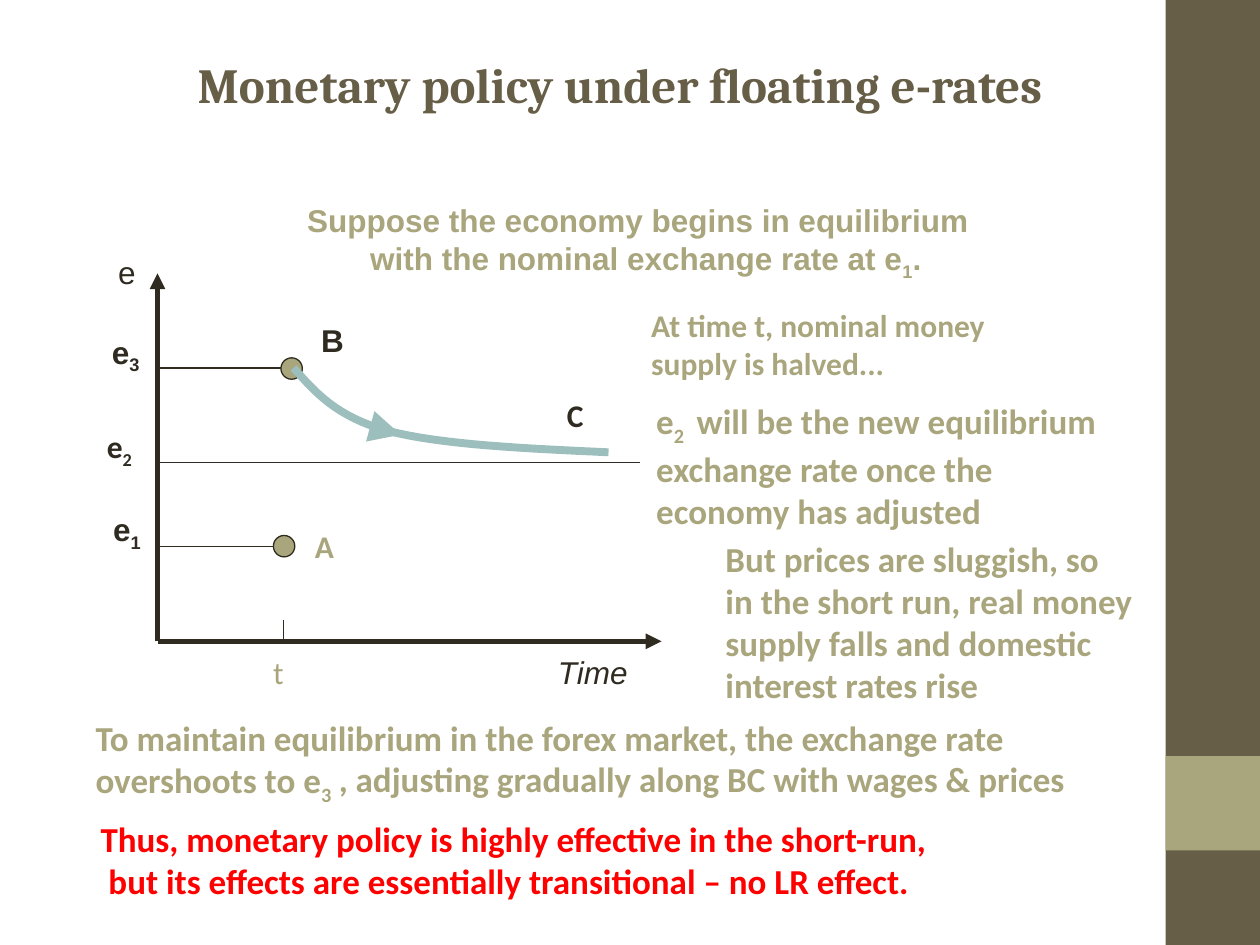
from dataclasses import dataclass

from lxml.etree import SubElement
from pptx import Presentation
from pptx.dml.color import RGBColor
from pptx.enum.shapes import MSO_CONNECTOR, MSO_SHAPE
from pptx.enum.text import MSO_AUTO_SIZE, PP_ALIGN
from pptx.oxml.ns import qn
from pptx.util import Emu, Pt

SCALE = 9144  # EMU per px, 100 px to the inch
COLORS = {
    "brown": "675E47",
    "olive": "A9A57C",
    "ink": "2F2B20",
    "teal": "9CBEBD",
    "red": "FF0000",
}
AXIS_X, AXIS_Y = 125, 509
TIME_T = 225
DOT_SIZE = 17


@dataclass(frozen=True)
class Run:
    text: str
    sub: bool = False


@dataclass(frozen=True)
class Caption:
    box: tuple[int, int, int, int]
    lines: tuple[tuple[Run, ...], ...]
    color: str = "olive"
    size: int = 20
    font: str = "Calibri"
    bold: bool = True
    italic: bool = False
    centered: bool = False


@dataclass(frozen=True)
class Stroke:
    start: tuple[int, int]
    end: tuple[int, int]
    color: str = "ink"
    width: float = 0.75
    arrow: bool = False


def px(value: float) -> Emu:
    return Emu(round(value * SCALE))


def rgb(name: str) -> RGBColor:
    return RGBColor.from_string(COLORS[name])


def plain(*texts: str) -> tuple[tuple[Run, ...], ...]:
    return tuple((Run(text),) for text in texts)


def rate(index: str) -> tuple[tuple[Run, ...], ...]:
    return ((Run("e"), Run(index, sub=True)),)


def add_block(shapes, kind: MSO_SHAPE, box: tuple, color: str, outlined: bool = False) -> None:
    block = shapes.add_shape(kind, *map(px, box))
    block.shadow.inherit = False
    block.fill.solid()
    block.fill.fore_color.rgb = rgb(color)
    if outlined:
        block.line.color.rgb = rgb("ink")
        block.line.width = Pt(0.75)
    else:
        block.line.fill.background()


def add_stroke(shapes, stroke: Stroke) -> None:
    connector = shapes.add_connector(
        MSO_CONNECTOR.STRAIGHT, *map(px, stroke.start + stroke.end))
    connector.line.color.rgb = rgb(stroke.color)
    connector.line.width = Pt(stroke.width)
    if stroke.arrow:
        SubElement(connector.line._get_or_add_ln(), qn("a:tailEnd"), type="triangle")
    SubElement(connector._element.spPr, qn("a:effectLst"))


def add_caption(shapes, caption: Caption) -> None:
    frame = shapes.add_textbox(*map(px, caption.box)).text_frame
    frame.word_wrap = caption.centered
    if not caption.centered:
        frame.auto_size = MSO_AUTO_SIZE.SHAPE_TO_FIT_TEXT
    for number, line in enumerate(caption.lines):
        paragraph = frame.add_paragraph() if number else frame.paragraphs[0]
        paragraph.alignment = PP_ALIGN.CENTER if caption.centered else PP_ALIGN.LEFT
        for part in line:
            run = paragraph.add_run()
            run.text = part.text
            run.font.name = caption.font
            run.font.size = Pt(caption.size)
            run.font.bold = caption.bold
            run.font.italic = caption.italic
            run.font.color.rgb = rgb(caption.color)
            if part.sub:
                run._r.get_or_add_rPr().set("baseline", "-25000")


def bezier(points: tuple, steps: int = 16) -> list[tuple[Emu, Emu]]:
    """Points along a cubic curve, without its start."""
    curve = []
    for step in range(1, steps + 1):
        t = step / steps
        weights = ((1 - t) ** 3, 3 * t * (1 - t) ** 2, 3 * t ** 2 * (1 - t), t ** 3)
        curve.append(tuple(
            px(sum(w * p[axis] for w, p in zip(weights, points))) for axis in (0, 1)))
    return curve


def add_adjustment_path(shapes) -> None:
    start, middle, end = (233, 292), (308, 342), (483, 359)
    builder = shapes.build_freeform(px(start[0]), px(start[1]))
    builder.add_line_segments(
        bezier((start, (250, 311), (267, 331), middle))
        + bezier((middle, (350, 353), (417, 356), end)),
        close=False)
    path_bc = builder.convert_to_shape()
    path_bc.shadow.inherit = False
    path_bc.fill.background()
    path_bc.line.color.rgb = rgb("teal")
    path_bc.line.width = Pt(4.5)


STROKES = (
    # Axes
    Stroke((AXIS_X, AXIS_Y), (525, AXIS_Y), width=3, arrow=True),
    Stroke((AXIS_X, AXIS_Y), (AXIS_X, 217), width=3, arrow=True),
    # Levels of e1, e2 and e3, and the tick at t
    Stroke((AXIS_X, 434), (TIME_T, 434)),
    Stroke((AXIS_X, 367), (508, 367)),
    Stroke((AXIS_X, 292), (TIME_T, 292)),
    Stroke((TIME_T, AXIS_Y), (TIME_T, 492)),
)
DIRECTION = Stroke((307, 342), (318, 345), "teal", 6, True)

CAPTIONS = (
    Caption((67, 38, 850, 121), plain("Monetary policy under floating e-rates"),
            "brown", 28, "Cambria", centered=True),
    # Axis and point labels
    Caption((433, 513, 75, 40), plain("Time"), "ink", 18, "Arial", bold=False, italic=True),
    Caption((84, 196, 34, 40), plain("e"), "ink", 18, "Arial", bold=False),
    Caption((207, 513, 28, 40), plain("t"), size=18, bold=False),
    Caption((80, 400, 42, 44), rate("1"), "ink", 18, "Arial"),
    Caption((75, 334, 40, 44), rate("2"), "ink", 18),
    Caption((79, 259, 42, 44), rate("3"), "ink", 18, "Arial"),
    Caption((240, 413, 35, 40), plain("A"), size=18),
    Caption((245, 250, 38, 40), plain("B"), "ink", 18, "Arial"),
    Caption((440, 309, 33, 40), plain("C"), "ink", 18),
    # Steps of the argument
    Caption((234, 155, 557, 74),
            plain("Suppose the economy begins in equilibrium")
            + ((Run("\twith the nominal exchange rate at e"), Run("1", sub=True), Run(".")),),
            size=18, font="Arial"),
    Caption((507, 238, 286, 70),
            plain("At time t, nominal money", "supply is halved..."), size=18),
    Caption((511, 312, 369, 115),
            ((Run("e"), Run("2 ", sub=True), Run(" will be the new equilibrium")),)
            + plain("exchange rate once the", "economy has adjusted")),
    Caption((566, 422, 350, 144),
            plain("But prices are sluggish, so", "in the short run, real money",
                  "supply falls and domestic", "interest rates rise")),
    Caption((66, 564, 755, 82),
            plain("To maintain equilibrium in the forex market, the exchange rate")
            + ((Run("overshoots to e"), Run("3", sub=True)),)),
    Caption((259, 596, 598, 44),
            plain(", adjusting gradually along BC with wages & prices")),
    Caption((70, 644, 684, 77),
            plain("Thus, monetary policy is highly effective in the short-run,",
                  " but its effects are essentially transitional – no LR effect."), "red"),
)


def main() -> None:
    deck = Presentation()
    deck.slide_width, deck.slide_height = px(1000), px(750)
    shapes = deck.slides.add_slide(deck.slide_layouts[6]).shapes

    # Side band
    add_block(shapes, MSO_SHAPE.RECTANGLE, (925, 0, 75, 750), "brown")
    add_block(shapes, MSO_SHAPE.RECTANGLE, (925, 600, 75, 75), "olive")

    # Exchange rate diagram
    for stroke in STROKES:
        add_stroke(shapes, stroke)
    for left, top in ((217, 425), (223, 284)):
        add_block(shapes, MSO_SHAPE.OVAL, (left, top, DOT_SIZE, DOT_SIZE), "olive", True)
    add_stroke(shapes, DIRECTION)
    add_adjustment_path(shapes)

    # Wording
    for caption in CAPTIONS:
        add_caption(shapes, caption)

    deck.save("out.pptx")


if __name__ == "__main__":
    main()
